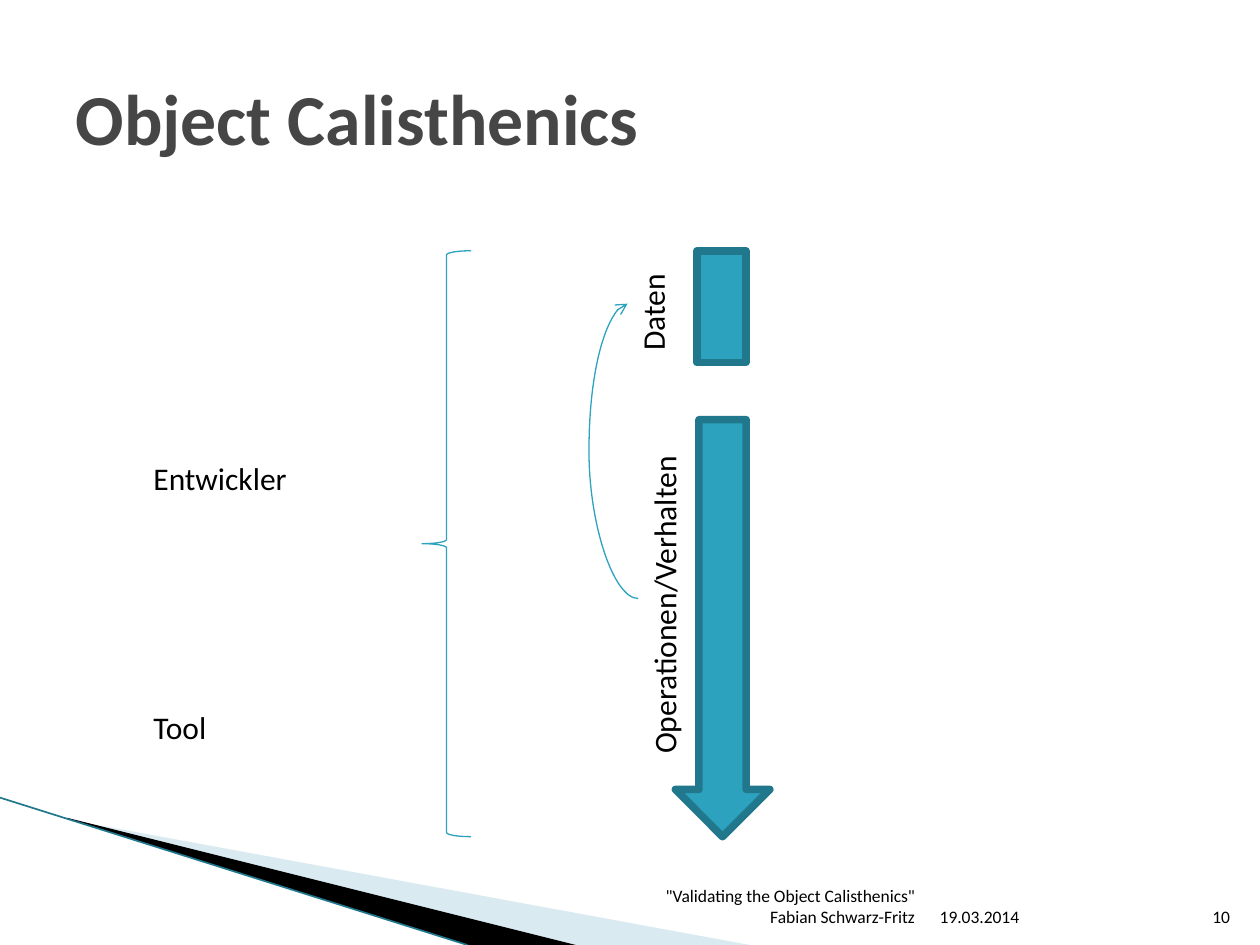
from lxml import etree
from pptx import Presentation
from pptx import util as u
from pptx.dml import color
from pptx.enum import shapes, text
from pptx.oxml import ns

Pt = u.Pt


def paint(target, value):
    if hasattr(target, "solid"):
        target.solid()
        target = target.fore_color
    target.rgb = color.RGBColor.from_string(value)


def add_label(slide, words, box, size, rotation, alignment, anchor):
    shape = slide.shapes.add_textbox(*[Pt(length) for length in box])
    shape.rotation = rotation
    frame = shape.text_frame
    frame.word_wrap = True
    frame.vertical_anchor = anchor
    paragraph = frame.paragraphs[0]
    paragraph.alignment = alignment
    run = paragraph.add_run()
    run.text = words
    run.font.name = "Calibri"
    run.font.size = Pt(size)
    paint(run.font.color, "000000")


presentation = Presentation()
presentation.slide_width = Pt(720)
presentation.slide_height = Pt(540)
slide = presentation.slides.add_slide(presentation.slide_layouts[5])

wedges = [
    ([(39.6, 468.5), (428.4, 540), (328.5, 540), (39.6, 468)], "A0CBDC", 40),
    ([(38.2, 467.3), (329, 540), (267.5, 540), (38.9, 468)], "000000", 100),
]
for points, fill, opacity in wedges:
    corners = [(Pt(x), Pt(y)) for x, y in points]
    builder = slide.shapes.build_freeform(*corners[0])
    builder.add_line_segments(corners[1:], close=True)
    wedge = builder.convert_to_shape()
    wedge.shadow.inherit = False
    wedge.line.fill.background()
    paint(wedge.fill, fill)
    if opacity < 100:
        tint = wedge.fill._xPr.find(".//" + ns.qn("a:srgbClr"))
        etree.SubElement(tint, ns.qn("a:alpha")).set("val", str(opacity * 1000))

title = slide.shapes.title
title.left, title.top, title.width, title.height = Pt(36), Pt(21.6), Pt(648), Pt(90)
title.text_frame.vertical_anchor = text.MSO_ANCHOR.MIDDLE
paragraph = title.text_frame.paragraphs[0]
paragraph.alignment = text.PP_ALIGN.LEFT
run = paragraph.add_run()
run.text = "Object Calisthenics"
run.font.name = "Calibri"
run.font.size = Pt(41)
run.font.bold = True
paint(run.font.color, "464646")

kinds = shapes.MSO_SHAPE
figures = [
    (kinds.RECTANGLE, (398.2, 143.3, 28, 64), "2DA2BF", "21788D", 4.33),
    (kinds.DOWN_ARROW, (385.9, 239.8, 54, 238.3), "2DA2BF", "21788D", 4.33),
    (kinds.LEFT_BRACE, (241.2, 143.3, 28, 334.8), None, "2DA2BF", 0.75),
]
for kind, box, fill, outline, weight in figures:
    shape = slide.shapes.add_shape(kind, *[Pt(length) for length in box])
    shape.shadow.inherit = False
    if fill:
        paint(shape.fill, fill)
    else:
        shape.fill.background()
    paint(shape.line.fill, outline)
    shape.line.width = Pt(weight)

connectors = shapes.MSO_CONNECTOR
lines = [
    (connectors.STRAIGHT, (0, 455.8, 267.1, 540), "21788D", 0.95),
    (connectors.CURVE, (358.6, 173.5, 364.7, 342), "2DA2BF", 0.75),
]
for kind, ends, outline, weight in lines:
    connector = slide.shapes.add_connector(kind, *[Pt(length) for length in ends])
    paint(connector.line.fill, outline)
    connector.line.width = Pt(weight)
    properties = connector._element.spPr
    etree.SubElement(properties, ns.qn("a:effectLst"))
    if kind == connectors.CURVE:
        properties.find(ns.qn("a:xfrm")).set("rot", "10800000")
        guide = etree.SubElement(properties.find(".//" + ns.qn("a:avLst")), ns.qn("a:gd"))
        guide.set("name", "adj1")
        guide.set("fmla", "val 461900")
        tail = etree.SubElement(properties.find(ns.qn("a:ln")), ns.qn("a:tailEnd"))
        tail.set("type", "arrow")

left, right = text.PP_ALIGN.LEFT, text.PP_ALIGN.RIGHT
top, bottom = text.MSO_ANCHOR.TOP, text.MSO_ANCHOR.BOTTOM
labels = [
    ("Operationen/Verhalten", (283, 326.9, 193, 29), 18, 270, left, top),
    ("Daten", (339.1, 159.1, 67.7, 29), 18, 270, left, top),
    ("Entwickler", (80.6, 258.5, 136, 29), 18, 0, left, top),
    ("Tool", (80.6, 401, 136, 29), 18, 0, left, top),
    ("19.03.2014", (529.9, 504.7, 151.2, 28.8), 10, 0, left, bottom),
    ("\"Validating the Object Calisthenics\" Fabian Schwarz-Fritz",
     (344.9, 504.7, 185, 28.8), 10, 0, right, bottom),
    ("10", (681.1, 504.7, 28.8, 28.8), 10, 0, right, bottom),
]
for label in labels:
    add_label(slide, *label)

presentation.save("out.pptx")
